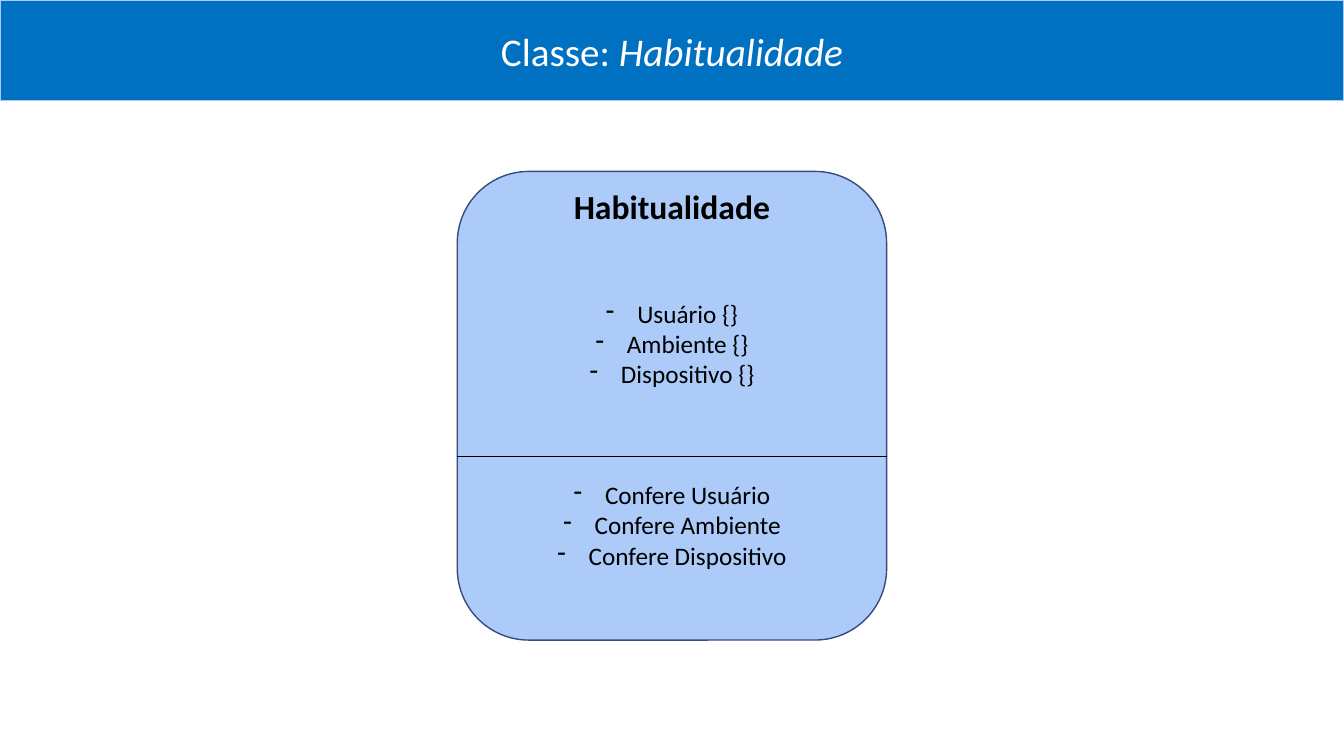
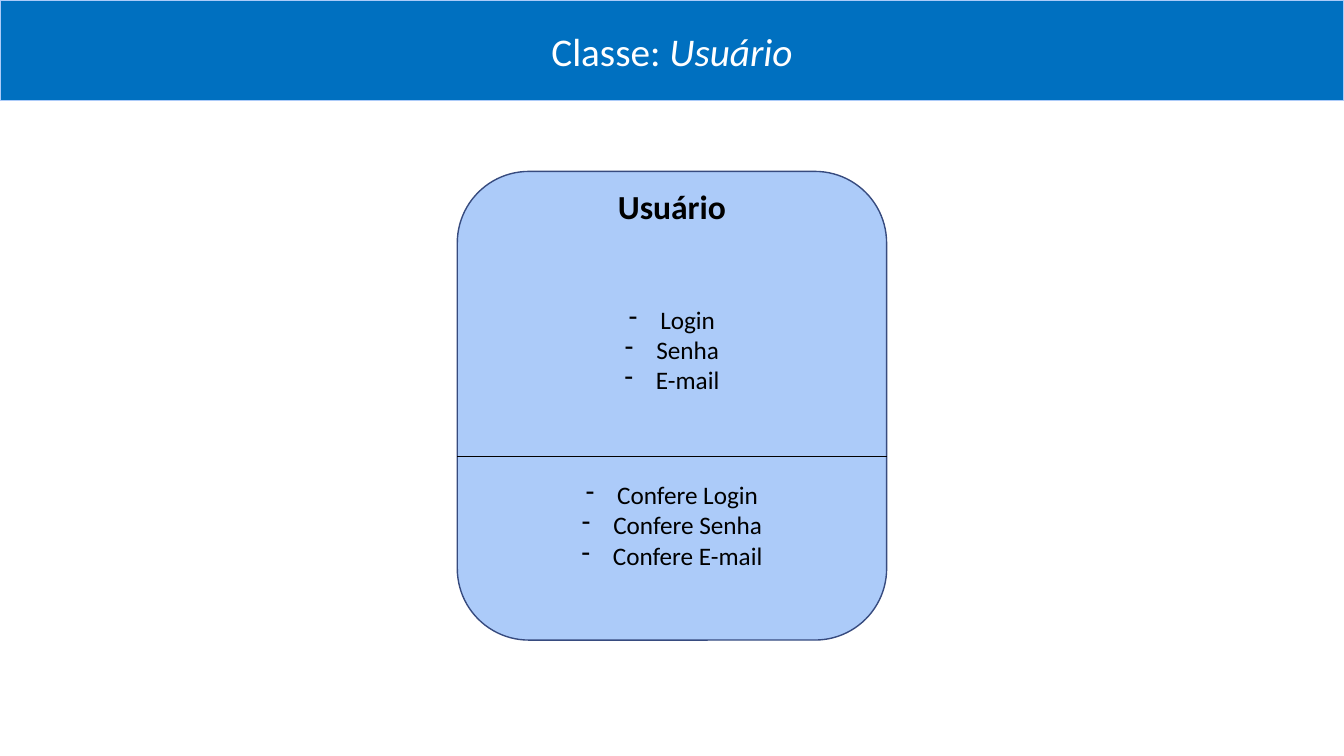
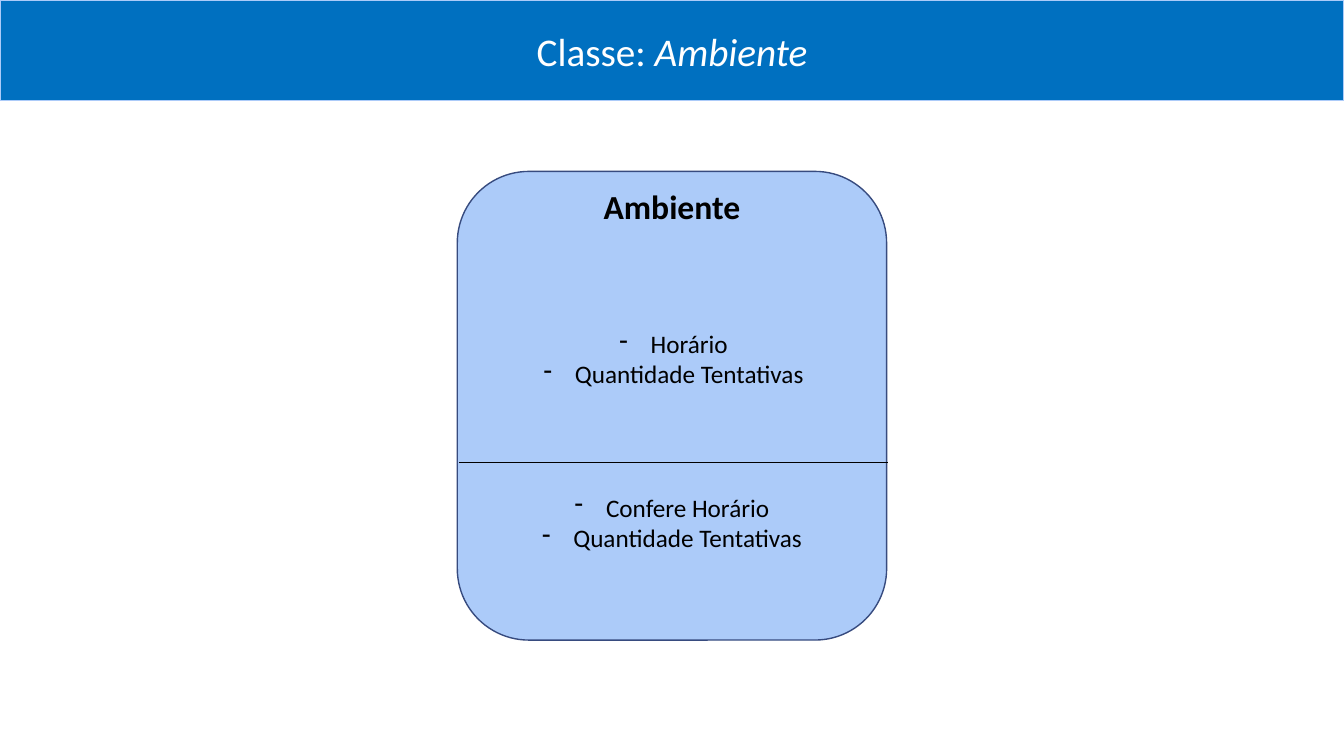
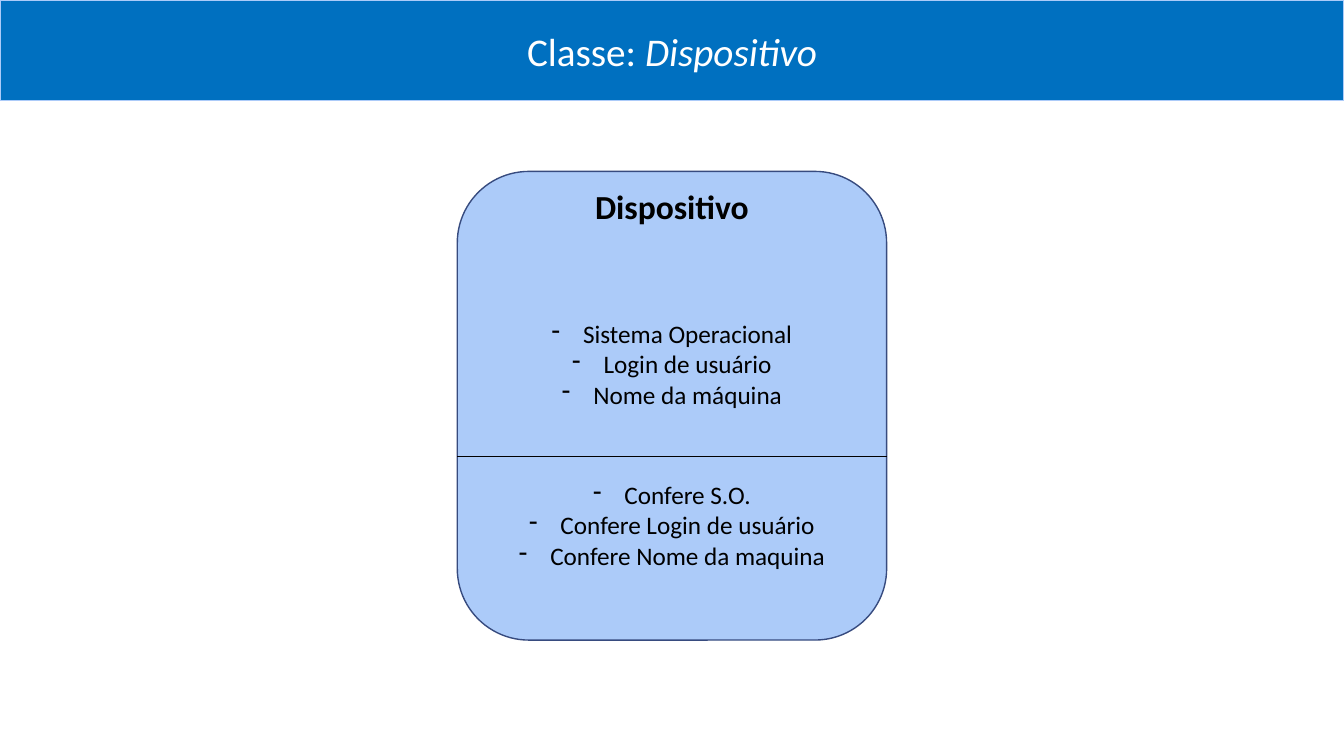
import pptx
import pptx.util
import pptx.dml.color
import pptx.enum.shapes
import pptx.enum.text
import pptx.oxml.ns
from lxml import etree

Cm = pptx.util.Cm
Pt = pptx.util.Pt
qn = pptx.oxml.ns.qn

FONT = "Calibri"
COLORS = {
    "band": "0070C0",
    "card": "ACCBF9",
    "card_line": "374B7F",
    "title": "FFFFFF",
    "text": "000000",
}
SLIDE_W, SLIDE_H = 33.87, 19.05
BAND = (0, 0, SLIDE_W, 2.54)
CARD_W = 10.82
CARD = ((SLIDE_W - CARD_W) / 2, 4.32, CARD_W, 11.81)
ITEM_H, PADDING = 0.76, 0.25

# Offsets are measured from the top left of the card, in centimetres.
CLASSES = [
    {
        "name": "Habitualidade",
        "attributes": ["Usuário {}", "Ambiente {}", "Dispositivo {}"],
        "methods": ["Confere Usuário", "Confere Ambiente", "Confere Dispositivo"],
        "attributes_top": 3.07,
    },
    {
        "name": "Usuário",
        "attributes": ["Login", "Senha", "E-mail"],
        "methods": ["Confere Login", "Confere Senha", "Confere E-mail"],
        "attributes_top": 3.22,
    },
    {
        "name": "Ambiente",
        "attributes": ["Horário", "Quantidade Tentativas"],
        "methods": ["Confere Horário", "Quantidade Tentativas"],
        "attributes_top": 3.83,
        "methods_top": 7.95,
        "divider_top": 7.34,
        "shift": 0.04,
    },
    {
        "name": "Dispositivo",
        "attributes": ["Sistema Operacional", "Login de usuário", "Nome da máquina"],
        "methods": ["Confere S.O.", "Confere Login de usuário",
                    "Confere Nome da maquina"],
        "attributes_top": 3.58,
    },
]


def rgb(key):
    """Return the named colour."""
    return pptx.dml.color.RGBColor.from_string(COLORS[key])


def paint(shape, fill, line):
    """Give a shape a solid fill and a one-point outline."""
    shape.fill.solid()
    shape.fill.fore_color.rgb = rgb(fill)
    shape.line.color.rgb = rgb(line)
    shape.line.width = Pt(1)


def add_run(p, text, size, color="text", bold=False, italic=False):
    """Append one formatted run to a paragraph."""
    r = p.add_run()
    r.text = text
    r.font.name = FONT
    r.font.size = Pt(size)
    r.font.bold = bold
    r.font.italic = italic
    r.font.color.rgb = rgb(color)


def add_dash(p):
    """Turn a paragraph into a dash item with a hanging indent."""
    pPr = p._p.get_or_add_pPr()
    pPr.set("marL", str(Cm(0.79)))
    pPr.set("indent", str(-Cm(0.79)))
    etree.SubElement(pPr, qn("a:buFontTx"))
    etree.SubElement(pPr, qn("a:buChar")).set("char", "-")


def add_lines(s, box, lines, size, bold=False, dashed=False):
    """Add a centred text box with one paragraph per line."""
    sp = s.shapes.add_textbox(*map(Cm, box))
    tf = sp.text_frame
    tf.word_wrap = True
    tf.auto_size = pptx.enum.text.MSO_AUTO_SIZE.SHAPE_TO_FIT_TEXT
    for i, text in enumerate(lines):
        p = tf.add_paragraph() if i else tf.paragraphs[0]
        p.alignment = pptx.enum.text.PP_ALIGN.CENTER
        if dashed:
            add_dash(p)
        add_run(p, text, size, bold=bold)


def add_items(s, left, top, width, items):
    """Add a dash list whose height follows its number of items."""
    height = len(items) * ITEM_H + PADDING
    add_lines(s, (left, top, width, height), items, 18, dashed=True)


def add_divider(s, left, top, width):
    """Add the thin line between attributes and methods."""
    line = s.shapes.add_connector(
        pptx.enum.shapes.MSO_CONNECTOR.STRAIGHT,
        Cm(left), Cm(top), Cm(left + width), Cm(top))
    line.line.color.rgb = rgb("text")
    line.line.width = Pt(0.5)
    etree.SubElement(line._element.spPr, qn("a:effectLst"))


def title_band(s, box, name):
    """Format the title placeholder as the band across the slide."""
    sp = s.shapes.title
    sp.left, sp.top, sp.width, sp.height = map(Cm, box)
    paint(sp, "band", "card")
    tf = sp.text_frame
    tf.word_wrap = True
    tf.auto_size = pptx.enum.text.MSO_AUTO_SIZE.NONE
    tf.vertical_anchor = pptx.enum.text.MSO_ANCHOR.MIDDLE
    p = tf.paragraphs[0]
    p.alignment = pptx.enum.text.PP_ALIGN.CENTER
    add_run(p, "Classe: ", 28, "title")
    add_run(p, name, 28, "title", italic=True)


def class_card(s, box, name, attributes, methods, attributes_top,
               methods_top=7.64, divider_top=7.19, shift=0):
    """Draw a class with its name, attributes and methods in the box."""
    left, top, width, _ = box
    card = s.shapes.add_shape(
        pptx.enum.shapes.MSO_SHAPE.ROUNDED_RECTANGLE, *map(Cm, box))
    card.shadow.inherit = False
    paint(card, "card", "card_line")
    add_lines(s, (left, top + 0.25, width, 1.27), [name], 24, bold=True)
    add_items(s, left + shift, top + attributes_top, width, attributes)
    add_items(s, left, top + methods_top, width, methods)
    add_divider(s, left + shift, top + divider_top, width)


def class_slide(prs, details):
    """Add a slide that presents one class."""
    s = prs.slides.add_slide(prs.slide_layouts.get_by_name("Title Only"))
    title_band(s, BAND, details["name"])
    class_card(s, CARD, **details)


prs = pptx.Presentation()
prs.slide_width, prs.slide_height = Cm(SLIDE_W), Cm(SLIDE_H)
for details in CLASSES:
    class_slide(prs, details)
prs.save("out.pptx")
